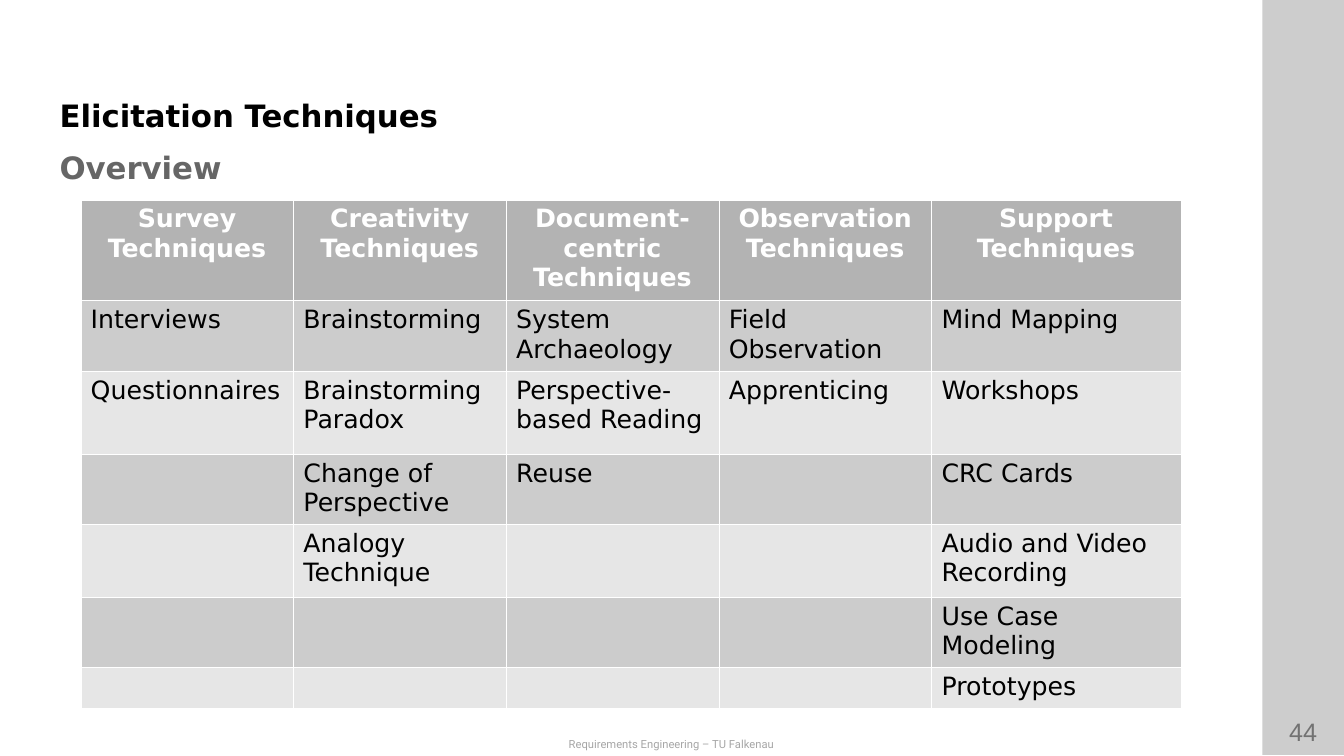
from lxml.etree import SubElement
from pptx import Presentation
from pptx.dml.color import RGBColor
from pptx.enum.shapes import MSO_SHAPE as Shape
from pptx.enum.text import MSO_ANCHOR as Anchor, PP_ALIGN as Align
from pptx.oxml.ns import qn
from pptx.util import Emu, Pt

PX = 9144  # one px is a hundredth of an inch
FONT = "DejaVu Sans"
COLUMN_WIDTHS = [211, 211, 211, 211, 247]
ROW_HEIGHTS = [97, 68, 82, 68, 72, 68, 39]
HEADER_FILL, ROW_FILLS = "B3B3B3", ["CCCCCC", "E6E6E6"]
TECHNIQUES = {
    "Survey Techniques": ["Interviews", "Questionnaires"],
    "Creativity Techniques": ["Brainstorming", "Brainstorming Paradox",
                              "Change of Perspective", "Analogy Technique"],
    "Document-centric Techniques": ["System Archaeology",
                                    "Perspective-based Reading", "Reuse"],
    "Observation Techniques": ["Field Observation", "Apprenticing"],
    "Support Techniques": ["Mind Mapping", "Workshops", "CRC Cards",
                           "Audio and Video Recording",
                           "Use Case Modeling", "Prototypes"],
}


def px(*lengths):
    return [Emu(length * PX) for length in lengths]


def color(value):
    return RGBColor.from_string(value)


def write(frame, text, size=18, font=FONT, fill="000000", bold=False, align=Align.LEFT):
    paragraph = frame.paragraphs[0]
    paragraph.alignment = align
    run = paragraph.add_run()
    run.text = text
    run.font.size = Pt(size)
    run.font.name = font
    run.font.bold = bold
    run.font.color.rgb = color(fill)


def add_text(slide, box, text, anchor=Anchor.TOP, inset=(10, 5), **text_format):
    frame = slide.shapes.add_textbox(*px(*box)).text_frame
    frame.word_wrap = True
    frame.vertical_anchor = anchor
    frame.margin_left = frame.margin_right = px(inset[0])[0]
    frame.margin_top = frame.margin_bottom = px(inset[1])[0]
    write(frame, text, **text_format)


def add_band(slide, box):
    """Draw a black rectangle at ten percent opacity."""
    band = slide.shapes.add_shape(Shape.RECTANGLE, *px(*box))
    band.shadow.inherit = False
    band.line.fill.background()
    band.fill.solid()
    band.fill.fore_color.rgb = color("000000")
    black = band.fill._xPr.find(".//" + qn("a:srgbClr"))
    SubElement(black, qn("a:alpha"), val="10000")


def add_sidebar(slide, box, number):
    left, top, width, height = box
    add_band(slide, box)
    add_text(slide, (left - 1, top + height - 43, width + 2, 40), number,
             font="Arial", fill="808080", align=Align.CENTER)
    add_band(slide, box)


def add_footer(slide, box):
    add_text(slide, box, "Requirements Engineering – TU Falkenau", size=8,
             font="Roboto", fill="A6A6A6", align=Align.CENTER)


def add_heading(slide, box):
    left, top, width, height = box
    line_height = 54
    add_text(slide, (left, top, width, line_height), "Elicitation Techniques",
             anchor=Anchor.BOTTOM, inset=(0, 0), size=22, bold=True)
    add_text(slide, (left, top + height - line_height, width, line_height), "Overview",
             anchor=Anchor.MIDDLE, inset=(0, 0), size=22, bold=True, fill="666666")


def style_cell(cell, fill):
    """Give the cell thin white borders and a plain fill."""
    properties = cell._tc.get_or_add_tcPr()
    for side in ("a:lnL", "a:lnR", "a:lnT", "a:lnB"):
        line = SubElement(properties, qn(side), w=str(Pt(0.06)))
        SubElement(SubElement(line, qn("a:solidFill")), qn("a:srgbClr"), val="FFFFFF")
    cell.fill.solid()
    cell.fill.fore_color.rgb = color(fill)


def add_techniques_table(slide, box):
    table = slide.shapes.add_table(len(ROW_HEIGHTS), len(COLUMN_WIDTHS), *px(*box)).table
    table.horz_banding = False
    for column, width in zip(table.columns, px(*COLUMN_WIDTHS)):
        column.width = width
    for row, height in zip(table.rows, px(*ROW_HEIGHTS)):
        row.height = height
    for column_index, (header, entries) in enumerate(TECHNIQUES.items()):
        for row_index in range(len(ROW_HEIGHTS)):
            cell = table.cell(row_index, column_index)
            if row_index == 0:
                style_cell(cell, HEADER_FILL)
                write(cell.text_frame, header, fill="FFFFFF", bold=True, align=Align.CENTER)
                continue
            style_cell(cell, ROW_FILLS[(row_index - 1) % 2])
            if row_index <= len(entries):
                write(cell.text_frame, entries[row_index - 1])


def main():
    presentation = Presentation()
    presentation.slide_width, presentation.slide_height = px(1333, 750)
    slide = presentation.slides.add_slide(presentation.slide_layouts[6])
    add_sidebar(slide, (1252, 0, 81, 749), "44")
    add_footer(slide, (0, 727, 1332, 23))
    add_heading(slide, (59, 79, 1132, 114))
    add_techniques_table(slide, (80, 198, sum(COLUMN_WIDTHS), sum(ROW_HEIGHTS)))
    presentation.save("out.pptx")


if __name__ == "__main__":
    main()
